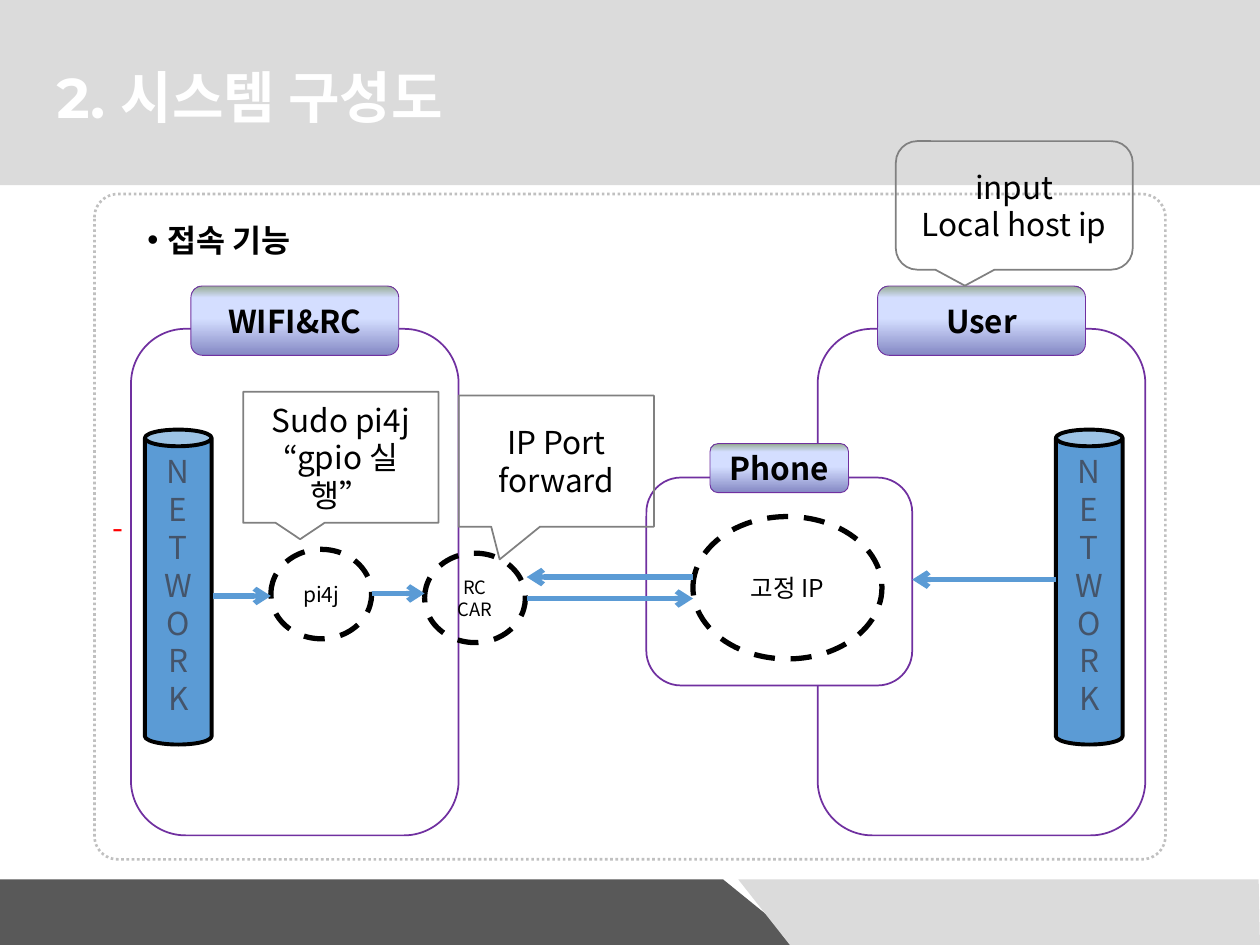
from copy import deepcopy
from lxml import etree
from pptx import Presentation
from pptx.dml.color import RGBColor
from pptx.enum.dml import MSO_LINE
from pptx.enum.shapes import MSO_CONNECTOR, MSO_SHAPE
from pptx.enum.text import MSO_ANCHOR, PP_ALIGN
from pptx.oxml.ns import qn
from pptx.util import Inches, Pt

RECT, ROUND, OVAL, CAN = (MSO_SHAPE.RECTANGLE, MSO_SHAPE.ROUNDED_RECTANGLE,
                          MSO_SHAPE.OVAL, MSO_SHAPE.CAN)
CALL, BUBBLE = MSO_SHAPE.RECTANGULAR_CALLOUT, MSO_SHAPE.ROUNDED_RECTANGULAR_CALLOUT
DASH, DOT = MSO_LINE.DASH, MSO_LINE.ROUND_DOT
TOP, MID = MSO_ANCHOR.TOP, MSO_ANCHOR.MIDDLE
LEFT, CENTER = PP_ALIGN.LEFT, PP_ALIGN.CENTER
SANS, HEAD = "Noto Sans CJK KR", "Montserrat"
HEX = {"pale": "DBDBDB", "dark": "595959", "white": "FFFFFF", "black": "000000",
       "dots": "C0C0C0", "purple": "7030A0", "blue": "5B9BD5", "slate": "44546A",
       "gray": "808080", "red": "FF0000"}
FADE = [(0, "8488C4"), (0.53, "D4DEFF"), (0.83, "D4DEFF"), (1, "96AB94")]


def rgb(name):
    """Return the named colour."""
    return RGBColor.from_string(HEX[name])


def write(frame, text, size, color="black", bold=False, font=SANS,
          align=CENTER, anchor=MID, pitch=1.2):
    """Fill a text frame, one paragraph per line."""
    form = {"word_wrap": True, "vertical_anchor": anchor,
            "margin_left": Inches(0.1), "margin_right": Inches(0.1),
            "margin_top": Inches(0.05), "margin_bottom": Inches(0.05)}
    for key, value in form.items():
        setattr(frame, key, value)
    frame.text = text
    for para in frame.paragraphs:
        para.alignment = align
        para.space_before = Pt(0)
        if pitch:
            para.line_spacing = Pt(round(size * pitch, 1))
        for run in para.runs:
            for key, value in {"size": Pt(size), "bold": bold, "name": font}.items():
                setattr(run.font, key, value)
            run.font.color.rgb = rgb(color)
            east = etree.SubElement(run.font._element, qn("a:ea"))
            east.set("typeface", SANS)


def paint(shape, fill=None, line=None, width=1, dash=None):
    """Set fill and outline."""
    shape.shadow.inherit = False
    if fill:
        shape.fill.solid()
        shape.fill.fore_color.rgb = rgb(fill)
    else:
        shape.fill.background()
    if line:
        shape.line.color.rgb = rgb(line)
        shape.line.width = Pt(width)
        shape.line.dash_style = dash
    else:
        shape.line.fill.background()


def place(slide, kind, box, adj=(), **look):
    """Add a painted preset shape."""
    shape = slide.shapes.add_shape(kind, *map(Inches, box))
    for i, value in enumerate(adj):
        shape.adjustments[i] = value
    paint(shape, **look)
    return shape


def label(slide, box, text):
    """Add a shaded name tag."""
    tag = place(slide, ROUND, box, line="purple", width=0.5)
    tag.fill.gradient()
    tag.fill.gradient_angle = 90
    stops = tag._element.spPr.find(qn("a:gradFill")).find(qn("a:gsLst"))
    for _ in FADE[2:]:
        stops.append(deepcopy(stops[0]))
    for stop, (spot, color) in zip(tag.fill.gradient_stops, FADE):
        stop.position = spot
        stop.color.rgb = RGBColor.from_string(color)
    write(tag.text_frame, text, 18, bold=True)


def panel(slide, box, name, wide, high, rise):
    """Add a rounded panel with a centred tag across its top edge."""
    x, y, w, _ = box
    place(slide, ROUND, box, fill="white", line="purple")
    label(slide, (x + (w - wide) / 2, y - rise, wide, high), name)


def tower(slide, x, y):
    """Add a network cylinder."""
    can = place(slide, CAN, (x, y, 0.53, 2.5), fill="blue", line="black", width=2.25)
    write(can.text_frame, "\n".join("NETWORK"), 18, "slate", anchor=TOP)


def node(slide, box, text, size):
    """Add a dashed oval."""
    oval = place(slide, OVAL, box, line="black", width=3, dash=DASH)
    write(oval.text_frame, text, size)


def note(slide, kind, box, text, adj=()):
    """Add a speech callout."""
    call = place(slide, kind, box, adj, line="gray")
    write(call.text_frame, text, 18)


def arrow(slide, start, end, y):
    """Add a level arrow."""
    link = slide.shapes.add_connector(
        MSO_CONNECTOR.STRAIGHT, *map(Inches, (start, y, end, y)))
    link.line.color.rgb = rgb("blue")
    link.line.width = Pt(3)
    etree.SubElement(link.line._get_or_add_ln(), qn("a:tailEnd")).set("type", "arrow")
    etree.SubElement(link._element.spPr, qn("a:effectLst"))


def move(shape, box):
    """Put a placeholder in its box."""
    for key, value in zip(("left", "top", "width", "height"), box):
        setattr(shape, key, Inches(value))


def header(slide, box):
    """Build the title band."""
    x, y, _, _ = box
    band = place(slide, RECT, box, fill="pale")
    slide.shapes._spTree.insert(2, band._element)
    title = slide.shapes.title
    move(title, (x + 0.35, y + 0.38, 8.4, 0.77))
    write(title.text_frame, "2. 시스템 구성도", 32, "white", True, HEAD, LEFT, pitch=None)


def footer(slide, box):
    """Build the two slanted bars."""
    x, y, w, h = box
    bars = {"dark": [(-0.08, 0), (5.74, 0), (6.38, h), (-0.07, h)],
            "pale": [(w, h), (6.27, h), (5.86, 0), (w - 0.01, 0)]}
    for color, spots in bars.items():
        spots = [(Inches(x + a), Inches(y + b)) for a, b in spots]
        pen = slide.shapes.build_freeform(*spots[0])
        pen.add_line_segments(spots[1:], close=True)
        paint(pen.convert_to_shape(), fill=color)


def topic(slide, box):
    """Build the bulleted heading."""
    body = slide.placeholders[1]
    move(body, box)
    write(body.text_frame, "접속 기능", 18, bold=True, align=LEFT, pitch=None)
    props = body.text_frame.paragraphs[0]._p.get_or_add_pPr()
    for key, value in {"marL": 0.16, "indent": -0.16}.items():
        props.set(key, str(Inches(value)))
    etree.SubElement(props, qn("a:buChar")).set("char", "•")


def diagram(slide, box):
    """Build the system diagram inside its dotted frame."""
    x, y, _, _ = box
    place(slide, ROUND, box, (0.035,), line="dots", width=1.5, dash=DOT)
    topic(slide, (x + 0.32, y + 0.16, 2, 0.4))
    mark = slide.shapes.add_textbox(*map(Inches, (x + 0.04, y + 2.44, 0.3, 0.4)))
    write(mark.text_frame, "-", 18, "red")
    for gap, name in ((0.29, "WIFI&RC"), (5.74, "User")):
        panel(slide, (x + gap, y + 1.07, 2.6, 4.02), name, 1.65, 0.55, 0.34)
    panel(slide, (x + 4.38, y + 2.25, 2.11, 1.65), "Phone", 1.1, 0.39, 0.27)
    for gap in (0.4, 7.63):
        tower(slide, x + gap, y + 1.87)
    for a, b, w, h, text, size in ((1.4, 2.82, 0.8, 0.71, "pi4j", 12),
                                   (2.62, 2.85, 0.8, 0.71, "RC\nCAR", 10.5),
                                   (4.75, 2.56, 1.5, 1.13, "고정 IP", 14)):
        node(slide, (x + a, y + b, w, h), text, size)
    for start, end, drop in ((0.94, 1.4, 3.19), (2.2, 2.62, 3.17), (3.43, 4.75, 3.21),
                             (7.63, 6.49, 3.06), (4.75, 3.43, 3.04)):
        arrow(slide, x + start, x + end, y + drop)
    note(slide, CALL, (x + 1.18, y + 1.57, 1.55, 1.04), "Sudo pi4j “gpio 실행”")
    note(slide, CALL, (x + 2.89, y + 1.6, 1.55, 1.04), "IP Port forward", (-0.29, 0.75))
    note(slide, BUBBLE, (x + 6.36, y - 0.42, 1.88, 1.02), "input\nLocal host ip")


def main():
    """Build and save the slide."""
    deck = Presentation()
    deck.slide_width, deck.slide_height = Inches(10), Inches(7.5)
    slide = deck.slides.add_slide(deck.slide_layouts[1])
    header(slide, (0, 0, 10, 1.47))
    footer(slide, (0, 6.98, 10, 0.52))
    diagram(slide, (0.75, 1.54, 8.5, 5.28))
    deck.save("out.pptx")


main()
